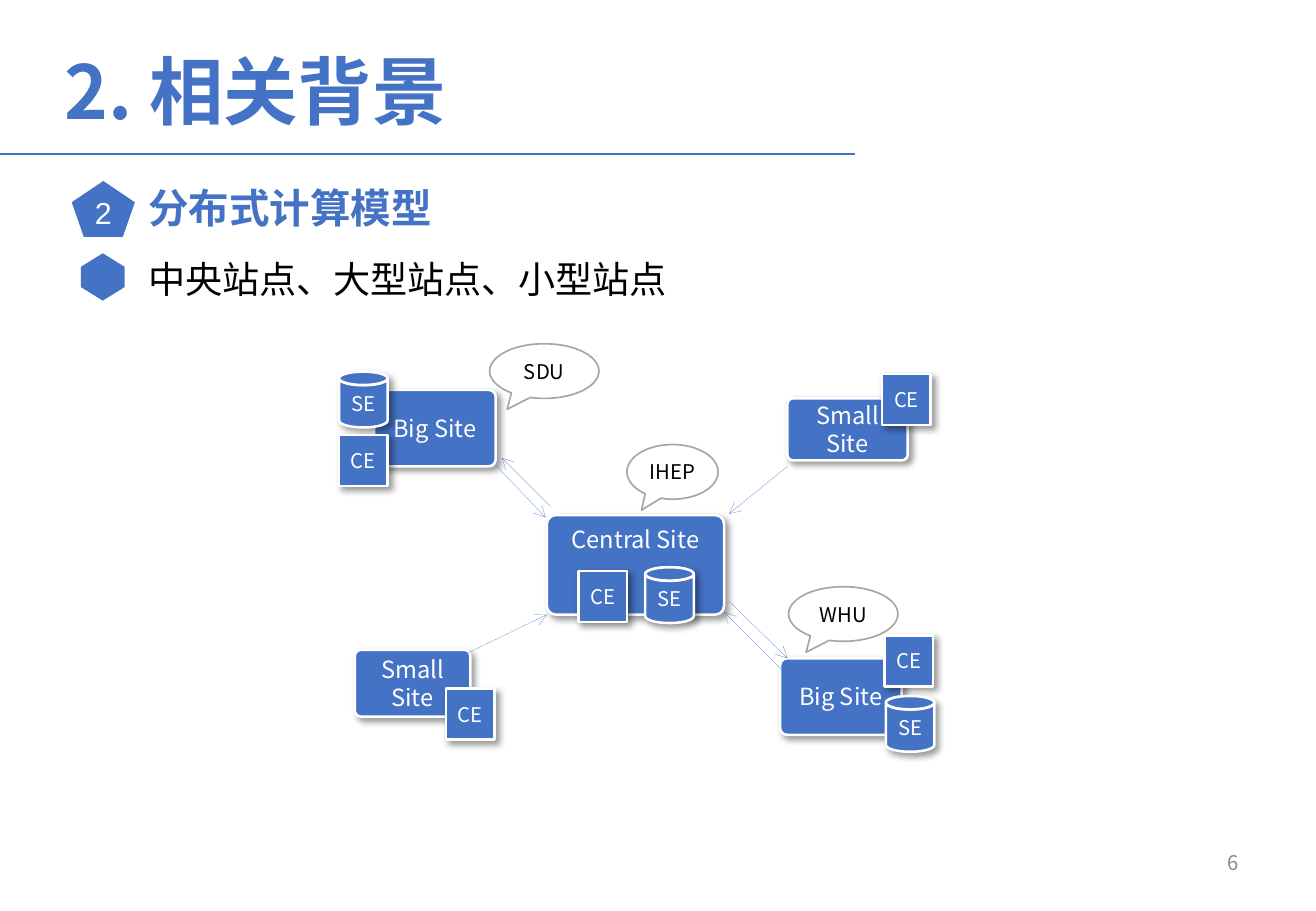
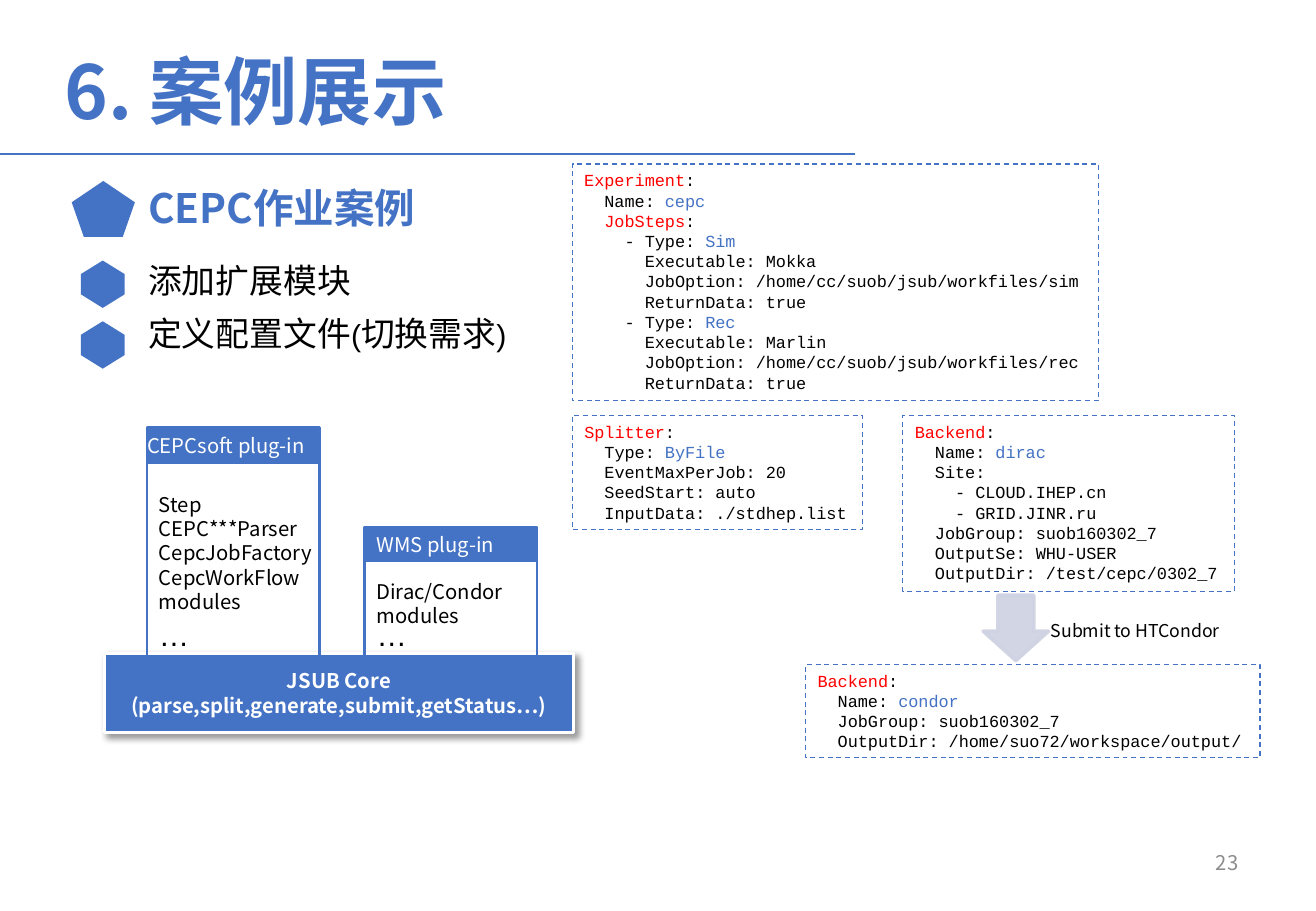
from dataclasses import dataclass, replace

from lxml.etree import SubElement
from pptx import Presentation
from pptx.dml.color import RGBColor
from pptx.enum.dml import MSO_LINE
from pptx.enum.shapes import MSO_CONNECTOR, MSO_SHAPE
from pptx.enum.text import MSO_ANCHOR, MSO_AUTO_SIZE, PP_ALIGN
from pptx.oxml.ns import qn
from pptx.util import Inches, Pt


@dataclass(frozen=True)
class Style:
    """Type size, colour, weight and Latin font of a span."""
    size: float
    color: str
    bold: bool = False
    font: str = "Noto Sans CJK SC"


class Theme:
    """Colours and type styles shared by the slides."""
    BLUE, WHITE, BLACK, RED = "4472C4", "FFFFFF", "000000", "FF0000"
    GREY, PALE = "A6A6A6", "CED2E2"
    EAST_ASIAN = "Noto Sans CJK SC"
    TITLE = Style(44, BLUE, True)
    HEADING = Style(24, BLUE, True)
    BULLET_LARGE = Style(22, BLACK)
    BULLET = Style(20, BLACK)
    SYMBOL = Style(18, BLACK, font="Arial")
    NUMBER = Style(18, WHITE, font="Arial")
    SITE = Style(14, WHITE)
    BADGE = Style(12, WHITE)
    CORE = Style(12, WHITE, True)
    LABEL = Style(12, BLACK)
    NOTE = Style(10.5, BLACK)
    CODE = Style(10, BLACK, font="Courier New")
    PAGE = Style(12, "8C8C8C")
    LEADING = 1.2


def rgb(color):
    """Turn a hex colour into an RGBColor."""
    return RGBColor.from_string(color)


def write(shape, lines, style, align=PP_ALIGN.LEFT, anchor=MSO_ANCHOR.TOP,
          margins=(0.1, 0.05, 0.1, 0.05), wrap=True):
    """Write lines, each a string or a list of (text, style) spans."""
    frame = shape.text_frame
    frame.word_wrap, frame.auto_size = wrap, MSO_AUTO_SIZE.NONE
    frame.vertical_anchor = anchor
    (frame.margin_left, frame.margin_top,
     frame.margin_right, frame.margin_bottom) = map(Inches, margins)
    for index, line in enumerate(lines):
        para = frame.add_paragraph() if index else frame.paragraphs[0]
        spans = [(line, style)] if isinstance(line, str) else line
        para.alignment = align
        para.space_before = Pt(0)
        para.line_spacing = Pt(Theme.LEADING * max(look.size for _, look in spans))
        for text, look in spans:
            span = para.add_run()
            span.text = text
            font = span.font
            font.size, font.bold, font.name = Pt(look.size), look.bold, look.font
            font.color.rgb = rgb(look.color)
            SubElement(span._r.get_or_add_rPr(), qn("a:ea"), typeface=Theme.EAST_ASIAN)
    return shape


def add_text(page, box, lines, style, **options):
    """Add a text box."""
    return write(page.shapes.add_textbox(*map(Inches, box)), lines, style, **options)


def add_figure(page, kind, box, fill=None, line=None, width=1.5, adjust=()):
    """Add a preset shape without shadow."""
    shape = page.shapes.add_shape(kind, *map(Inches, box))
    shape.shadow.inherit = False
    for index, value in enumerate(adjust):
        shape.adjustments[index] = value
    if fill:
        shape.fill.solid()
        shape.fill.fore_color.rgb = rgb(fill)
    else:
        shape.fill.background()
    if line:
        shape.line.color.rgb = rgb(line)
        shape.line.width = Pt(width)
    else:
        shape.line.fill.background()
    return shape


def add_raised(page, kind, box, width=1.5, adjust=()):
    """Add a blue shape with a white outline and a soft shadow."""
    shape = add_figure(page, kind, box, Theme.BLUE, Theme.WHITE, width, adjust)
    effects = shape._element.spPr.find(qn("a:effectLst"))
    shadow = SubElement(effects, qn("a:outerShdw"), blurRad=str(Pt(4)),
                        dist=str(Pt(3)), dir="2700000", algn="tl", rotWithShape="0")
    color = SubElement(shadow, qn("a:srgbClr"), val=Theme.BLACK)
    SubElement(color, qn("a:alpha"), val="40000")
    return shape


def add_line(page, start, end, width, arrow=False):
    """Add a straight blue line, with an open arrowhead on request."""
    line = page.shapes.add_connector(MSO_CONNECTOR.STRAIGHT, *map(Inches, start + end))
    line.line.color.rgb = rgb(Theme.BLUE)
    outline = line.line._get_or_add_ln()
    outline.set("w", str(Pt(width)))
    if arrow:
        SubElement(outline, qn("a:tailEnd"), type="arrow")
    SubElement(line._element.spPr, qn("a:effectLst"))


def add_page(deck, title, heading, number, marker=None):
    """Start a slide with its title, rule, heading and page number."""
    page = deck.slides.add_slide(deck.slide_layouts[5])
    holder = page.shapes.title
    holder.left, holder.top, holder.width, holder.height = map(
        Inches, (0.43, 0.32, 8.7, 0.71))
    write(holder, [title], Theme.TITLE)
    add_line(page, (0, 1.27), (7.04, 1.27), 1.25)
    pentagon = add_figure(page, MSO_SHAPE.REGULAR_PENTAGON, (0.59, 1.49, 0.52, 0.46), Theme.BLUE)
    if marker:
        write(pentagon, [marker], Theme.NUMBER, align=PP_ALIGN.CENTER,
              anchor=MSO_ANCHOR.MIDDLE, margins=(0, 0, 0, 0.05), wrap=False)
    add_text(page, (1.12, 1.46, 3.6, 0.5), [heading], Theme.HEADING)
    add_text(page, (7.76, 6.95, 2.53, 0.4), [number], Theme.PAGE, align=PP_ALIGN.RIGHT)
    return page


def add_bullet(page, hexagon_top, text_top, line, style):
    """Add a hexagon marker and the line beside it."""
    hexagon = add_figure(page, MSO_SHAPE.HEXAGON, (0.65, hexagon_top, 0.39, 0.36),
                         Theme.BLUE, adjust=(0.31,))
    hexagon.rotation = 90
    add_text(page, (1.12, text_top, 5.05, 0.5), [line], style)


def add_badge(page, label, left, top):
    """Add a CE square or an SE cylinder with a plain lid."""
    if label == "SE":
        badge = add_raised(page, MSO_SHAPE.CAN, (left, top, 0.4, 0.46), adjust=(0.28,))
        add_figure(page, MSO_SHAPE.OVAL, (left, top, 0.4, 0.11), Theme.BLUE, Theme.WHITE)
    else:
        badge = add_raised(page, MSO_SHAPE.RECTANGLE, (left, top, 0.4, 0.42))
    write(badge, [label], Theme.BADGE, align=PP_ALIGN.CENTER,
          anchor=MSO_ANCHOR.MIDDLE, margins=(0, 0, 0, 0))


def add_site(page, box, name, badges, anchor=MSO_ANCHOR.MIDDLE):
    """Add a site with its CE and SE badges, placed from its top left corner."""
    left, top = box[:2]
    site = add_raised(page, MSO_SHAPE.ROUNDED_RECTANGLE, box, adjust=(0.09,))
    write(site, [name], Theme.SITE, align=PP_ALIGN.CENTER, anchor=anchor,
          margins=(0.1, 0.06, 0.1, 0.06))
    for label, right, down in badges:
        add_badge(page, label, left + right, top + down)


def add_callout(page, box, name):
    """Add a speech bubble naming a site."""
    bubble = add_figure(page, MSO_SHAPE.OVAL_CALLOUT, box, line=Theme.GREY,
                        width=1, adjust=(-0.34, 0.7))
    write(bubble, [name], Theme.LABEL, align=PP_ALIGN.CENTER,
          anchor=MSO_ANCHOR.MIDDLE, margins=(0, 0, 0, 0), wrap=False)


def add_plugin(page, box, bar_height, name, modules, indent, gap):
    """Add a plug-in column: a blue name bar above its open list."""
    left, top, width, height = box
    body = add_figure(page, MSO_SHAPE.RECTANGLE,
                      (left, top + bar_height, width, height - bar_height), line=Theme.BLUE)
    write(body, modules, Theme.LABEL, margins=(0.1, gap, 0, 0))
    bar = add_figure(page, MSO_SHAPE.RECTANGLE, (left, top, width, bar_height),
                     Theme.BLUE, Theme.BLUE)
    write(bar, [name], Theme.BADGE, anchor=MSO_ANCHOR.MIDDLE, margins=(indent, 0, 0, 0))
    add_text(page, (left, top + height - 0.46, 0.52, 0.4), ["…"], Theme.SYMBOL)


def code_spans(line):
    """Colour section keys red and the values of Name and Type blue."""
    red, blue = replace(Theme.CODE, color=Theme.RED), replace(Theme.CODE, color=Theme.BLUE)
    key, _, value = line.partition(":")
    word = key.strip(" -")
    if word in ("Experiment", "JobSteps", "Splitter", "Backend"):
        indent = key[:-len(word)]
        spans = [(indent, Theme.CODE), (word, red), (":", Theme.CODE)]
        return spans if indent else spans[1:]
    if word in ("Name", "Type"):
        return [(key + ": ", Theme.CODE), (value.strip(), blue)]
    return [(line, Theme.CODE)]


def add_code(page, box, code):
    """Add a dashed frame holding a piece of configuration."""
    frame = add_figure(page, MSO_SHAPE.RECTANGLE, box, line=Theme.BLUE, width=0.75)
    frame.line.dash_style = MSO_LINE.DASH
    write(frame, [code_spans(line) for line in code.splitlines()], Theme.CODE,
          margins=(0.1, 0.05, 0, 0.05))


def add_submit_arrow(page, box):
    """Add the pale down arrow and its label."""
    left, top, width, _ = box
    arrow = add_figure(page, MSO_SHAPE.DOWN_ARROW, box, Theme.PALE, Theme.PALE, 2, (0.55, 0.45))
    for color in arrow._element.spPr.iter(qn("a:srgbClr")):
        SubElement(color, qn("a:alpha"), val="90000")
    add_text(page, (left + width - 0.08, top + 0.15, 1.66, 0.28),
             ["Submit to HTCondor"], Theme.NOTE)


def build_model(deck):
    """Build the slide on the distributed computing model."""
    page = add_page(deck, "2. 相关背景", "分布式计算模型", "6", "2")
    add_bullet(page, 2.1, 2.06, "中央站点、大型站点、小型站点", Theme.BULLET_LARGE)
    add_site(page, (4.5, 4.24, 1.46, 0.82), "Central Site",
             [("CE", 0.26, 0.46), ("SE", 0.81, 0.43)], MSO_ANCHOR.TOP)
    add_site(page, (2.92, 5.35, 0.95, 0.55), "Small Site", [("CE", 0.75, 0.32)])
    add_site(page, (3.08, 3.21, 1, 0.63), "Big Site",
             [("SE", -0.29, -0.15), ("CE", -0.29, 0.37)])
    add_site(page, (6.42, 5.42, 1, 0.63), "Big Site",
             [("SE", 0.87, 0.31), ("CE", 0.86, -0.19)])
    add_site(page, (6.48, 3.28, 0.99, 0.51), "Small Site", [("CE", 0.78, -0.2)])
    for start, end in [((3.76, 5.42), (4.5, 5.06)), ((6.43, 5.51), (5.96, 5.04)),
                       ((6, 4.95), (6.48, 5.42)), ((4.09, 3.84), (4.49, 4.26)),
                       ((4.53, 4.17), (4.13, 3.77)), ((6.48, 3.84), (6, 4.23))]:
        add_line(page, start, end, 0, arrow=True)
    add_callout(page, (5.16, 3.66, 0.75, 0.45), "IHEP")
    add_callout(page, (6.49, 4.83, 0.9, 0.45), "WHU")
    add_callout(page, (4.03, 2.83, 0.9, 0.45), "SDU")


EXPERIMENT = """Experiment:
  Name: cepc
  JobSteps:
    - Type: Sim
      Executable: Mokka
      JobOption: /home/cc/suob/jsub/workfiles/sim
      ReturnData: true
    - Type: Rec
      Executable: Marlin
      JobOption: /home/cc/suob/jsub/workfiles/rec
      ReturnData: true"""
SPLITTER = """Splitter:
  Type: ByFile
  EventMaxPerJob: 20
  SeedStart: auto
  InputData: ./stdhep.list"""
DIRAC = """Backend:
  Name: dirac
  Site:
    - CLOUD.IHEP.cn
    - GRID.JINR.ru
  JobGroup: suob160302_7
  OutputSe: WHU-USER
  OutputDir: /test/cepc/0302_7"""
CONDOR = """Backend:
  Name: condor
  JobGroup: suob160302_7
  OutputDir: /home/suo72/workspace/output/"""


def build_case(deck):
    """Build the slide on the CEPC job case."""
    page = add_page(deck, "6. 案例展示", "CEPC作业案例", "23")
    add_bullet(page, 2.16, 2.09, "添加扩展模块", Theme.BULLET)
    add_bullet(page, 2.66, 2.53, [("定义配置文件", Theme.BULLET), ("(", Theme.SYMBOL),
                                  ("切换需求", Theme.BULLET), (")", Theme.SYMBOL)], Theme.BULLET)
    core = add_raised(page, MSO_SHAPE.RECTANGLE, (0.86, 5.38, 3.86, 0.65), 2)
    write(core, ["JSUB Core", "(parse,split,generate,submit,getStatus…)"], Theme.CORE,
          align=PP_ALIGN.CENTER, anchor=MSO_ANCHOR.MIDDLE)
    add_plugin(page, (1.21, 3.52, 1.42, 1.96), 0.29, "CEPCsoft plug-in",
               ["Step", "CEPC***Parser", "CepcJobFactory", "CepcWorkFlow", "modules"], 0, 0.24)
    add_plugin(page, (3, 4.34, 1.42, 1.14), 0.28, "WMS plug-in",
               ["Dirac/Condor", "modules"], 0.1, 0.15)
    add_code(page, (4.71, 1.35, 4.33, 1.95), EXPERIMENT)
    add_code(page, (4.71, 3.42, 2.39, 0.94), SPLITTER)
    add_code(page, (7.43, 3.42, 2.73, 1.45), DIRAC)
    add_code(page, (6.63, 5.47, 3.74, 0.77), CONDOR)
    add_submit_arrow(page, (8.09, 4.9, 0.54, 0.54))


def main():
    """Build and save the deck."""
    deck = Presentation()
    deck.slide_width, deck.slide_height = Inches(10.83), Inches(7.5)
    build_model(deck)
    build_case(deck)
    deck.save("out.pptx")


if __name__ == "__main__":
    main()
